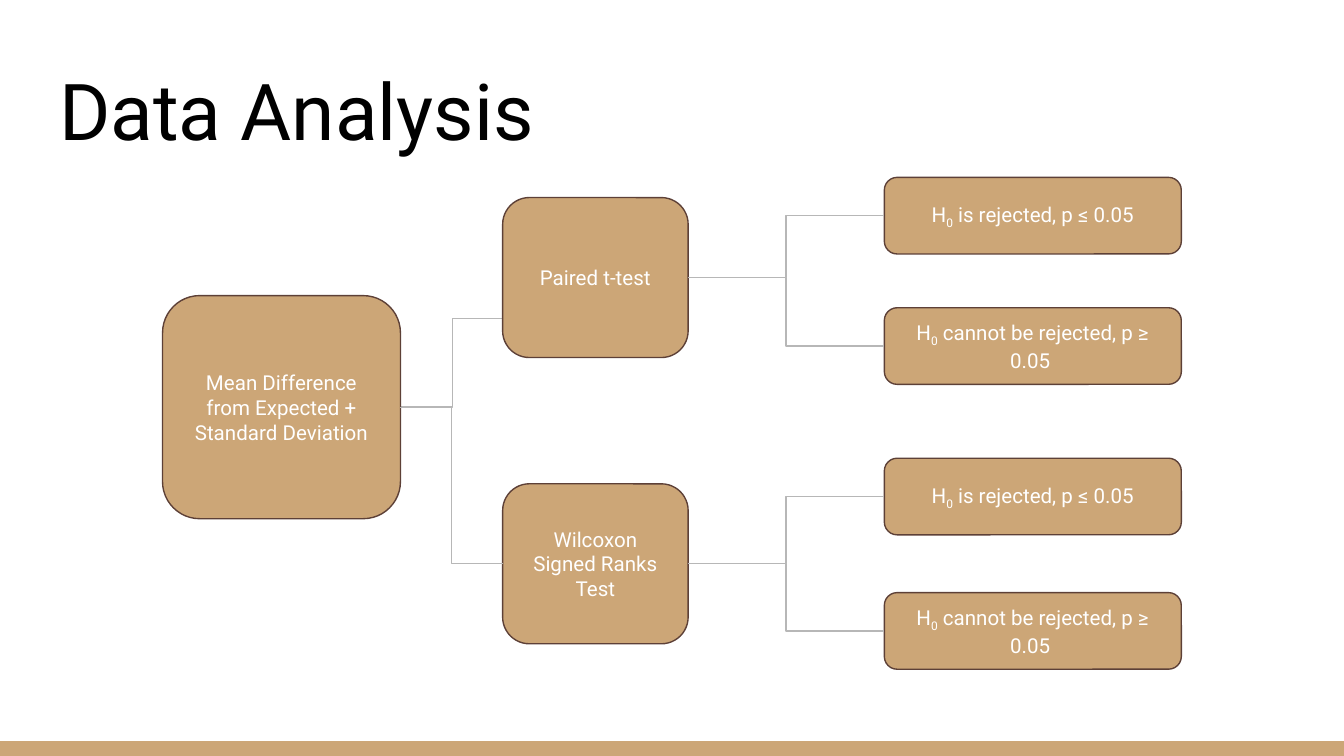
from lxml import etree
from pptx import Presentation
from pptx.dml.color import RGBColor
from pptx.enum.shapes import MSO_CONNECTOR, MSO_SHAPE
from pptx.enum.text import MSO_ANCHOR, PP_ALIGN
from pptx.oxml.ns import qn
from pptx.util import Inches, Pt

ELBOW = MSO_CONNECTOR.ELBOW
RECTANGLE, ROUNDED = MSO_SHAPE.RECTANGLE, MSO_SHAPE.ROUNDED_RECTANGLE
MIDDLE, BOTTOM = MSO_ANCHOR.MIDDLE, MSO_ANCHOR.BOTTOM
LEFT, CENTER = PP_ALIGN.LEFT, PP_ALIGN.CENTER
LEFT_SIDE, RIGHT_SIDE = 1, 3

TAN = RGBColor(0xCC, 0xA6, 0x77)
BROWN = RGBColor(0x5D, 0x40, 0x37)
GRAY = RGBColor(0xB7, 0xB7, 0xB7)
WHITE = RGBColor(0xFF, 0xFF, 0xFF)
BLACK = RGBColor(0, 0, 0)
FONT = "Roboto"

WIDTH = 10
HEIGHT = WIDTH * 9 / 16
BAR_HEIGHT = 0.11
MARGIN = 0.34
# Each column of the tree: left edge, box width, box height
ROOT_COLUMN = (1.21, 1.77, 1.66)
TEST_COLUMN = (3.74, 1.38, 1.19)
RESULT_COLUMN = (6.58, 2.21, 0.57)
ROOT_TOP = 2.2
REJECTED = ("H", "0", " is rejected, p ≤ 0.05")
NOT_REJECTED = ("H", "0", " cannot be rejected, p ≥ 0.05 ")
# Each test: its words, its top, and the tops of its two results
TESTS = [
    ("Paired t-test", 1.47, (1.32, 2.29)),
    ("Wilcoxon Signed Ranks Test", 3.6, (3.41, 4.41)),
]


def add_box(column, top, words):
    """Add a tree box; the second piece of words, if any, is a subscript."""
    left, width, height = column
    box = page.shapes.add_shape(
        ROUNDED, Inches(left), Inches(top), Inches(width), Inches(height))
    box.shadow.inherit = False
    box.fill.solid()
    box.fill.fore_color.rgb = TAN
    box.line.color.rgb = BROWN
    box.line.width = Pt(0.75)
    frame = box.text_frame
    frame.word_wrap = True
    frame.vertical_anchor = MIDDLE
    frame.margin_left = frame.margin_right = Inches(0.1)
    frame.margin_top = frame.margin_bottom = Inches(0.1)
    para = frame.paragraphs[0]
    para.alignment = CENTER
    for index, piece in enumerate(words):
        span = para.add_run()
        span.text = piece
        span.font.name = FONT
        span.font.size = Pt(11)
        span.font.color.rgb = WHITE
        if index == 1:
            span.font._element.set("baseline", "-25000")
    return box


def add_branch(start=(0, 0), end=(0, 0), parent=None, child=None):
    """Add an elbow line between two points or two boxes."""
    branch = page.shapes.add_connector(
        ELBOW, *(Inches(value) for value in (*start, *end)))
    if parent is not None:
        branch.begin_connect(parent, RIGHT_SIDE)
        branch.end_connect(child, LEFT_SIDE)
    branch.line.color.rgb = GRAY
    branch.line.width = Pt(0.75)
    etree.SubElement(branch._element.spPr, qn("a:effectLst"))


deck = Presentation()
deck.slide_width, deck.slide_height = Inches(WIDTH), Inches(HEIGHT)
page = deck.slides.add_slide(deck.slide_layouts[5])
page.background.fill.solid()
page.background.fill.fore_color.rgb = WHITE

# Bar along the bottom edge
bar = page.shapes.add_shape(
    RECTANGLE, 0, Inches(HEIGHT - BAR_HEIGHT), Inches(WIDTH), Inches(BAR_HEIGHT))
bar.shadow.inherit = False
bar.fill.solid()
bar.fill.fore_color.rgb = TAN
bar.line.fill.background()

# Title
title = page.shapes.title
title.left, title.top = Inches(MARGIN), Inches(0.35)
title.width, title.height = Inches(WIDTH - 2 * MARGIN), Inches(0.91)
frame = title.text_frame
frame.text = "Data Analysis"
frame.vertical_anchor = BOTTOM
frame.margin_left = frame.margin_right = Inches(0.1)
frame.margin_top = frame.margin_bottom = Inches(0.1)
para = frame.paragraphs[0]
para.alignment = LEFT
font = para.runs[0].font
font.name, font.size, font.color.rgb = FONT, Pt(42), BLACK

# The upper branch meets the first test below its middle, so it runs behind both boxes
add_branch(start=(2.72, ROOT_TOP + ROOT_COLUMN[2] / 2), end=(4.01, 2.37))

# Tree, from left to right
root = add_box(ROOT_COLUMN, ROOT_TOP,
               ["Mean Difference from Expected + Standard Deviation"])
for words, top, result_tops in TESTS:
    test = add_box(TEST_COLUMN, top, [words])
    for result_top, result_words in zip(result_tops, (REJECTED, NOT_REJECTED)):
        result = add_box(RESULT_COLUMN, result_top, result_words)
        add_branch(parent=test, child=result)
add_branch(parent=root, child=test)

deck.save("out.pptx")
